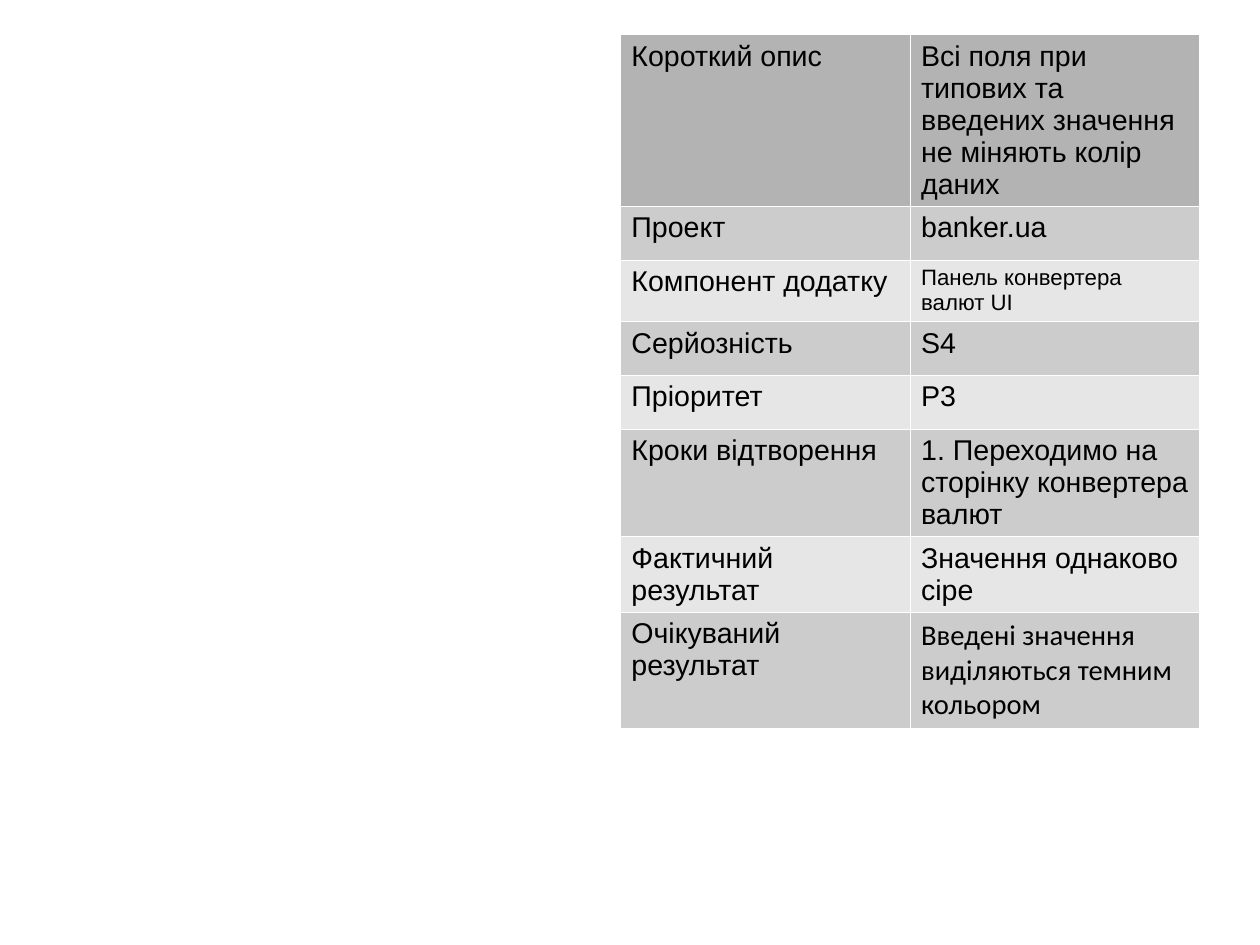
from lxml import etree
from pptx import Presentation
from pptx.dml.color import RGBColor
from pptx.oxml.ns import qn
from pptx.util import Pt

REPORT = [
    ("Короткий опис", "Всі поля при типових та введених значення не міняють колір даних"),
    ("Проект", "banker.ua"),
    ("Компонент додатку", "Панель конвертера валют UI"),
    ("Серйозність", "S4"),
    ("Пріоритет", "P3"),
    ("Кроки відтворення", "1. Переходимо на сторінку конвертера валют"),
    ("Фактичний результат", "Значення однаково сіре"),
    ("Очікуваний результат", "Введені значення виділяються темним кольором"),
]
COLORS = {"header": "B3B3B3", "odd": "CCCCCC", "even": "E6E6E6",
          "border": "FFFFFF", "text": "000000"}
BASE_FONT = {"name": "Arial", "size": Pt(18), "bold": False}
SPECIAL_FONTS = {(2, 1): {"size": Pt(14)}, (7, 1): {"name": "Calibri"}}

SLIDE_W, SLIDE_H = 793.75, 595.25
LEFT, TOP = 390.7, 21.6
COL_W, HEADER_H, ROW_H = 182.5, 44.6, 33.8
BORDER_W = 0.06
MARGINS = {"margin_left": Pt(7.09), "margin_right": Pt(7.09),
           "margin_top": Pt(3.69), "margin_bottom": Pt(3.69)}


def row_color(row):
    if row == 0:
        return COLORS["header"]
    return COLORS["odd" if row % 2 else "even"]


def add_borders(cell):
    """Draw all four cell edges; lines must precede the fill in tcPr."""
    tc_pr = cell._tc.get_or_add_tcPr()
    for i, side in enumerate(("lnL", "lnR", "lnT", "lnB")):
        ln = etree.Element(qn(f"a:{side}"), w=str(Pt(BORDER_W)))
        fill = etree.SubElement(ln, qn("a:solidFill"))
        etree.SubElement(fill, qn("a:srgbClr"), val=COLORS["border"])
        tc_pr.insert(i, ln)


def format_cell(cell, content, row, col):
    for name, value in MARGINS.items():
        setattr(cell, name, value)
    cell.fill.solid()
    cell.fill.fore_color.rgb = RGBColor.from_string(row_color(row))
    add_borders(cell)
    r = cell.text_frame.paragraphs[0].add_run()
    r.text = content
    for name, value in {**BASE_FONT, **SPECIAL_FONTS.get((row, col), {})}.items():
        setattr(r.font, name, value)
    r.font.color.rgb = RGBColor.from_string(COLORS["text"])


def main():
    prs = Presentation()
    prs.slide_width, prs.slide_height = Pt(SLIDE_W), Pt(SLIDE_H)
    s = prs.slides.add_slide(prs.slide_layouts[6])
    height = HEADER_H + ROW_H * (len(REPORT) - 1)
    table = s.shapes.add_table(len(REPORT), 2, Pt(LEFT), Pt(TOP),
                               Pt(2 * COL_W), Pt(height)).table
    for column in table.columns:
        column.width = Pt(COL_W)
    for i, pair in enumerate(REPORT):
        table.rows[i].height = Pt(ROW_H if i else HEADER_H)
        for j, content in enumerate(pair):
            format_cell(table.cell(i, j), content, i, j)
    prs.save("out.pptx")


if __name__ == "__main__":
    main()
